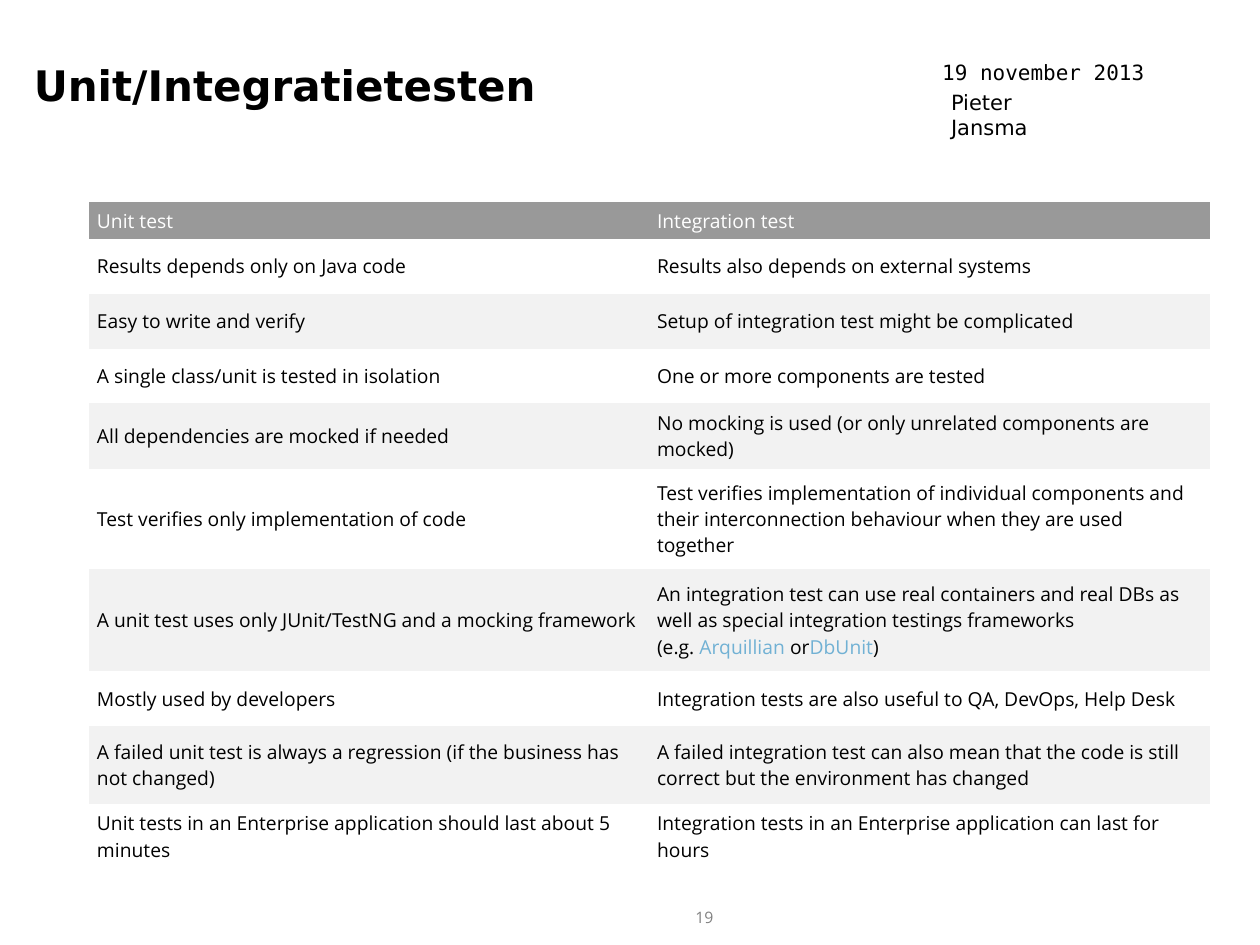
from pptx import Presentation
from pptx.dml.color import RGBColor
from pptx.enum.text import MSO_ANCHOR, PP_ALIGN
from pptx.util import Inches, Pt

MIDDLE, TOP = MSO_ANCHOR.MIDDLE, MSO_ANCHOR.TOP
LEFT, CENTER = PP_ALIGN.LEFT, PP_ALIGN.CENTER
COLORS = {"ink": "000000", "white": "FFFFFF", "header": "999999",
          "band": "F2F2F2", "link": "71B1D4", "muted": "818181"}
SANS, MONO, BODY = "DejaVu Sans", "DejaVu Sans Mono", "Open Sans"
PLAIN_GRID = "{2D5ABB26-0587-4C30-8999-92F81FD0307C}"
HARD_SPACE = chr(160)

ROW_HEIGHTS = [0.3, 0.43, 0.44, 0.43, 0.52, 0.8, 0.81, 0.43, 0.62, 0.52]
FRAMEWORKS = [
    ("An integration test can use real containers and real DBs as well as "
     "special integration testings frameworks (e.g." + HARD_SPACE, "ink"),
    ("Arquillian", "link"), (HARD_SPACE + "or", "ink"), ("DbUnit", "link"),
    (")", "ink")]
COMPARISON = [
    ("Unit test", "Integration test"),
    ("Results depends only on Java code",
     "Results also depends on external systems"),
    ("Easy to write and verify",
     "Setup of integration test might be complicated"),
    ("A single class/unit is tested in isolation",
     "One or more components are tested"),
    ("All dependencies are mocked if needed",
     "No mocking is used (or only unrelated components are mocked)"),
    ("Test verifies only implementation of code",
     "Test verifies implementation of individual components and their "
     "interconnection behaviour when they are used together"),
    ("A unit test uses only JUnit/TestNG and a mocking framework", FRAMEWORKS),
    ("Mostly used by developers",
     "Integration tests are also useful to QA, DevOps, Help Desk"),
    ("A failed unit test is always a regression (if the business has not changed)",
     "A failed integration test can also mean that the code is still correct "
     "but the environment has changed"),
    ("Unit tests in an Enterprise application should last about 5 minutes",
     "Integration tests in an Enterprise application can last for hours"),
]


class SlideBuilder:
    """Holds the slide and its text style, and adds each kind of element."""

    def __init__(self, slide):
        self.slide = slide

    def run(self, paragraph, text, size, font, color, bold=False):
        run = paragraph.add_run()
        run.text = text
        run.font.size, run.font.name, run.font.bold = Pt(size), font, bold
        run.font.color.rgb = RGBColor.from_string(COLORS[color])

    def text(self, box, text, size, font, color="ink", bold=False,
             align=LEFT, anchor=TOP):
        frame = self.slide.shapes.add_textbox(*map(Inches, box)).text_frame
        frame.word_wrap = True
        frame.vertical_anchor = anchor
        paragraph = frame.paragraphs[0]
        paragraph.alignment = align
        self.run(paragraph, text, size, font, color, bold)

    def cell(self, cell, content, fill, color):
        cell.fill.solid()
        cell.fill.fore_color.rgb = RGBColor.from_string(COLORS[fill])
        cell.vertical_anchor = MIDDLE
        cell.margin_left = cell.margin_right = Inches(0.06)
        cell.margin_top = cell.margin_bottom = Inches(0.05)
        pieces = [(content, color)] if isinstance(content, str) else content
        for text, piece_color in pieces:
            self.run(cell.text_frame.paragraphs[0], text, 11, BODY, piece_color)

    def table(self, left, top, width, heights, rows):
        frame = self.slide.shapes.add_table(
            len(rows), len(rows[0]), Inches(left), Inches(top),
            Inches(width), Inches(sum(heights)))
        table = frame.table
        table.first_row = table.horz_banding = False
        table._tbl.tblPr[0].text = PLAIN_GRID
        for index, (height, contents) in enumerate(zip(heights, rows)):
            table.rows[index].height = Inches(height)
            fill = "white" if index % 2 else "band" if index else "header"
            color = "ink" if index else "white"
            for column, content in enumerate(contents):
                self.cell(table.cell(index, column), content, fill, color)


def main():
    deck = Presentation()
    deck.slide_width, deck.slide_height = Inches(10), Inches(7.5)
    builder = SlideBuilder(deck.slides.add_slide(deck.slide_layouts[6]))
    builder.text((5.25, 7.14, 0.68, 0.28), "19", 9, BODY, "muted",
                 align=CENTER, anchor=MIDDLE)
    builder.text((7.38, 0.42, 2.34, 0.3), "19 november 2013", 12, MONO)
    builder.text((7.45, 0.66, 1.27, 0.3), "Pieter Jansma", 12, SANS)
    builder.text((0.17, 0.42, 6.76, 0.83), "Unit/Integratietesten", 24, SANS,
                 bold=True)
    builder.table(0.71, 1.6, 8.89, ROW_HEIGHTS, COMPARISON)
    deck.save("out.pptx")


if __name__ == "__main__":
    main()
